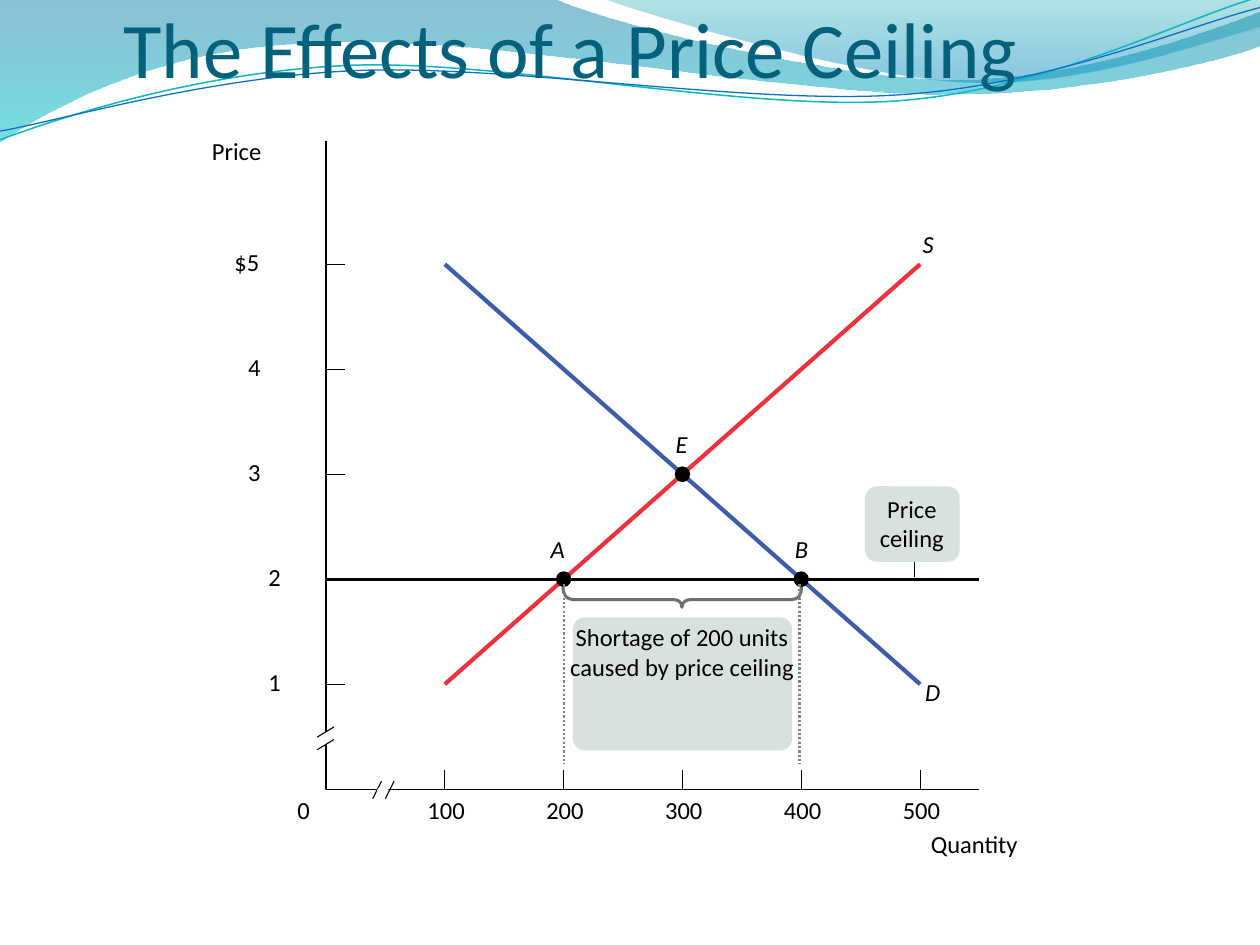
from collections import namedtuple

from lxml.etree import SubElement
from pptx import Presentation
from pptx.dml.color import RGBColor
from pptx.enum.dml import MSO_LINE
from pptx.enum.shapes import MSO_CONNECTOR, MSO_SHAPE
from pptx.enum.text import MSO_ANCHOR, MSO_AUTO_SIZE, PP_ALIGN
from pptx.oxml.ns import qn
from pptx.util import Pt

Box = namedtuple("Box", "left top width height")

BLACK = RGBColor(0x00, 0x00, 0x00)
WHITE = RGBColor(0xFF, 0xFF, 0xFF)
TITLE_TEAL = RGBColor(0x04, 0x61, 0x7B)
DEMAND_BLUE = RGBColor(0x3C, 0x5D, 0xAA)
SUPPLY_RED = RGBColor(0xEE, 0x31, 0x3C)
NOTE_FILL = RGBColor(0xD7, 0xE2, 0xE0)
BRACE_GRAY = RGBColor(0x6D, 0x6F, 0x71)
GUIDE_GRAY = RGBColor(0x80, 0x80, 0x80)

# A wave is a start point and segments: 2 numbers make a line, 6 a Bézier curve.
# Bands add gradient stops (position, colour, opacity in percent).
BANDS = [
    ((0, 0),
     [(316.8, -0.7), (342.7, 12.2, 478.1, 45.4, 545.8, 45.4),
      (614.2, 45.4, 689.8, 18.7, 720, 6.5), (720.7, 25.9),
      (707.8, 31.7, 626.4, 54.7, 537.1, 54), (447.8, 54, 275, 20.2, 185, 24.5),
      (92.9, 25.9, 33.1, 59.8, -0.7, 81.4)],
     [(0, RGBColor(0x00, 0x74, 0xA1), 45), (1, RGBColor(0x00, 0xC6, 0xCF), 55)]),
    ((344.9, -0.7),
     [(366.5, 7.9, 491, 44.6, 553.7, 46.8), (616.3, 49.7, 691.9, 23, 720, 15.1),
      (720, 0)],
     [(0, RGBColor(0x00, 0xA1, 0xA9), 30), (0.8, RGBColor(0x00, 0x8B, 0xBF), 45)]),
]
WAVE_LINES = [
    ((0, 79.9),
     [(34.6, 67, 113.8, 41, 199.4, 37.4), (284.4, 33.8, 427, 64.1, 513.4, 57.6),
      (599.8, 51.1, 675.4, 10.8, 718.6, -1.4)],
     RGBColor(0x0A, 0xB8, 0xBF), 0.85),
    ((0, 74.9),
     [(33.8, 69.1, 118.1, 44, 203.8, 40.3), (290.2, 36.7, 429.8, 60.5, 516.2, 54),
      (601.9, 48.2, 677.5, 15.1, 720, 4.3)],
     RGBColor(0x0F, 0x6F, 0xC6), 0.75),
]


def set_line(line, color, width, dash=None):
    line.color.rgb = color
    line.width = Pt(width)
    if dash:
        line.dash_style = dash


def add_outline(slide, box, start, segments, closed=False):
    """Add a freeform, without fill or line, from lines and curves relative to the box."""
    builder = slide.shapes.build_freeform(Pt(box.left + start[0]), Pt(box.top + start[1]),
                                          scale=1.0)
    points = [(Pt(box.left + x), Pt(box.top + y))
              for segment in segments for x, y in zip(segment[::2], segment[1::2])]
    builder.add_line_segments(points, close=closed)
    shape = builder.convert_to_shape()
    shape.shadow.inherit = False
    shape.fill.background()
    shape.line.fill.background()
    bend_curves(shape, segments)
    return shape


def bend_curves(shape, segments):
    """Turn each three lines that stand for a Bézier segment into one curve."""
    path = next(shape._element.spPr.iter(qn("a:path")))
    lines = iter(path.findall(qn("a:lnTo")))
    for segment in segments:
        parts = [next(lines) for _ in segment[::2]]
        if len(parts) == 3:
            curve = SubElement(path, qn("a:cubicBezTo"))
            parts[0].addprevious(curve)
            for part in parts:
                curve.append(part[0])
                path.remove(part)


def add_line(slide, start, end, color=BLACK, width=0.63, dash=None):
    ends = [Pt(value) for value in (*start, *end)]
    connector = slide.shapes.add_connector(MSO_CONNECTOR.STRAIGHT, *ends)
    set_line(connector.line, color, width, dash)
    SubElement(connector._element.spPr, qn("a:effectLst"))


def add_solid(slide, kind, box, color):
    shape = slide.shapes.add_shape(kind, *[Pt(value) for value in box])
    shape.shadow.inherit = False
    shape.fill.solid()
    shape.fill.fore_color.rgb = color
    shape.line.fill.background()
    return shape


def add_text(slide, box, text, size=14, color=BLACK, italic=False, wrap=False,
             align=PP_ALIGN.LEFT, anchor=MSO_ANCHOR.TOP, margin_top=0,
             fit=MSO_AUTO_SIZE.SHAPE_TO_FIT_TEXT):
    frame = slide.shapes.add_textbox(*[Pt(value) for value in box]).text_frame
    frame_format = {"word_wrap": wrap, "vertical_anchor": anchor, "auto_size": fit,
                    "margin_left": 0, "margin_right": 0, "margin_top": Pt(margin_top),
                    "margin_bottom": 0}
    for name, value in frame_format.items():
        setattr(frame, name, value)
    paragraph = frame.paragraphs[0]
    paragraph.alignment = align
    run = paragraph.add_run()
    run.text = text
    for name, value in {"name": "Calibri", "size": Pt(size), "italic": italic}.items():
        setattr(run.font, name, value)
    run.font.color.rgb = color


def add_waves(slide, box):
    for start, segments, stops in BANDS:
        band = add_outline(slide, box, start, segments, closed=True)
        band.fill.gradient()
        band.fill.gradient_angle = 270
        for stop, (position, color, _) in zip(band.fill.gradient_stops, stops):
            stop.position = position
            stop.color.rgb = color
        colors = band._element.spPr.iter(qn("a:srgbClr"))
        for element, (_, _, opacity) in zip(colors, stops):
            SubElement(element, qn("a:alpha"), val=str(opacity * 1000))
    for start, segments, color, width in WAVE_LINES:
        set_line(add_outline(slide, box, start, segments).line, color, width)


def add_title(slide, box):
    add_text(slide, box, "The Effects of a Price Ceiling", size=45, color=TITLE_TEAL,
             wrap=True, anchor=MSO_ANCHOR.BOTTOM, margin_top=3.6, fit=MSO_AUTO_SIZE.NONE)


def add_note(slide, box, text, text_box, radius=6.8):
    note = add_solid(slide, MSO_SHAPE.ROUNDED_RECTANGLE, box, NOTE_FILL)
    note.adjustments[0] = radius / min(box.width, box.height)
    add_text(slide, text_box, text, wrap=True, align=PP_ALIGN.CENTER)


def add_market_diagram(slide, box):
    """Draw supply, demand and the ceiling; the box spans the two axes."""
    left, top = box.left, box.top
    right, bottom = left + box.width, top + box.height

    def point(quantity, price):
        return left + 67.9 * quantity / 100, bottom - 60.4 - 60 * (price - 1)

    def at(x, y, width, height):
        return Box(left + x, top + y, width, height)

    # Axes, ticks and labels
    corner = add_outline(slide, box, (29.5, box.height),
                         [(0, box.height), (0, box.height - 26)])
    set_line(corner.line, BLACK, 0.63)
    add_line(slide, (right, bottom), (left + 21, bottom))
    add_line(slide, (left, bottom - 33), (left, top))
    for price, label, x, width in [(5, "$5", -52.4, 15.8), (4, "4", -44.5, 7.9),
                                   (3, "3", -44.5, 7.9), (2, "2", -33, 7.9),
                                   (1, "1", -33, 7.9)]:
        y = point(0, price)[1]
        if price != 2:
            add_line(slide, (left, y), (left + 10.8, y))
        add_text(slide, Box(left + x, y - 9.8, width, 17), label)
    for quantity in range(100, 600, 100):
        x = point(quantity, 0)[0]
        add_line(slide, (x, bottom - 11.5), (x, bottom))
        add_text(slide, Box(x - 9.9, bottom + 3, 23.8, 17), str(quantity))
    add_text(slide, Box(left - 16.4, bottom + 3, 7.2, 17), "0")
    add_text(slide, Box(right - 27.5, bottom + 22.4, 50, 17), "Quantity")
    add_text(slide, at(-102.2, -2.8, 102.2, 17), "Price", wrap=True, align=PP_ALIGN.CENTER)

    # Curves and ceiling
    ceiling = point(0, 2)[1]
    add_line(slide, (left, ceiling), (right, ceiling), width=1.75)
    add_line(slide, point(100, 5), point(500, 1), DEMAND_BLUE, 2.38)
    add_line(slide, point(500, 5), point(100, 1), SUPPLY_RED, 2.38)
    for name, quantity, price, dx, dy in [
            ("S", 500, 5, 1.4, -20.2), ("D", 500, 1, 2.9, -4.3), ("E", 300, 3, -3.9, -26),
            ("A", 200, 2, -7.4, -26), ("B", 400, 2, -3.6, -26)]:
        x, y = point(quantity, price)
        add_text(slide, Box(x + dx, y + dy, 9.4, 17), name, italic=True)
        if name in "EAB":
            add_solid(slide, MSO_SHAPE.OVAL, Box(x - 4.4, y - 4.5, 8.8, 9), BLACK)

    # Shortage and notes
    brace = add_outline(slide, at(135.5, 254.9, 136.1, 11.5), (0, 0), [
        (0, 4.3, 1.4, 7.2, 7.2, 7.2), (8.6, 7.2, 61.9, 7.2, 63.4, 7.2),
        (64.8, 7.2, 67.9, 7.9, 67.9, 11.5), (67.9, 7.9, 71.3, 7.2, 72.7, 7.2),
        (73.4, 7.2, 128.2, 7.2, 128.9, 7.2), (135.4, 7.2, 136.1, 4.3, 136.1, 0)])
    set_line(brace.line, BRACE_GRAY, 1.75)
    add_note(slide, at(141.1, 272.2, 125.3, 76), 
             "Shortage of 200 units caused by price ceiling", at(135.4, 275.1, 136.1, 51))
    add_line(slide, (left + 336.2, top + 238.4), (left + 336.2, ceiling - 1.4))
    add_note(slide, at(308.1, 197.3, 54, 43.2), "Price ceiling", at(306, 201.6, 57.6, 34))

    # Axis breaks
    for offset in (0, 7.2):
        add_line(slide, (left - 5, bottom - 30.2 + offset), (left + 4.5, bottom - 36 + offset))
        add_line(slide, (left + 31.7 + offset, bottom - 5), (left + 26.7 + offset, bottom + 5))
    gap = add_outline(slide, box, (28.8, 371.4), [(30.2, 369.4), (36, 369.4), (35.3, 371.4)],
                      closed=True)
    gap.fill.solid()
    gap.fill.fore_color.rgb = WHITE

    # Quantity guides
    for quantity, shift in ((200, 0), (400, -1)):
        x = point(quantity, 0)[0] + shift
        add_line(slide, (x, ceiling + 3), (x, bottom - 15.1), GUIDE_GRAY, 1.25,
                 MSO_LINE.ROUND_DOT)


def main():
    presentation = Presentation()
    presentation.slide_width, presentation.slide_height = Pt(720), Pt(540)
    slide = presentation.slides.add_slide(presentation.slide_layouts[6])
    add_waves(slide, Box(0, 0, 720, 82))
    add_title(slide, Box(70.6, 0, 635, 54))
    add_market_diagram(slide, Box(186.3, 80.6, 373.1, 370.8))
    presentation.save("out.pptx")


if __name__ == "__main__":
    main()
